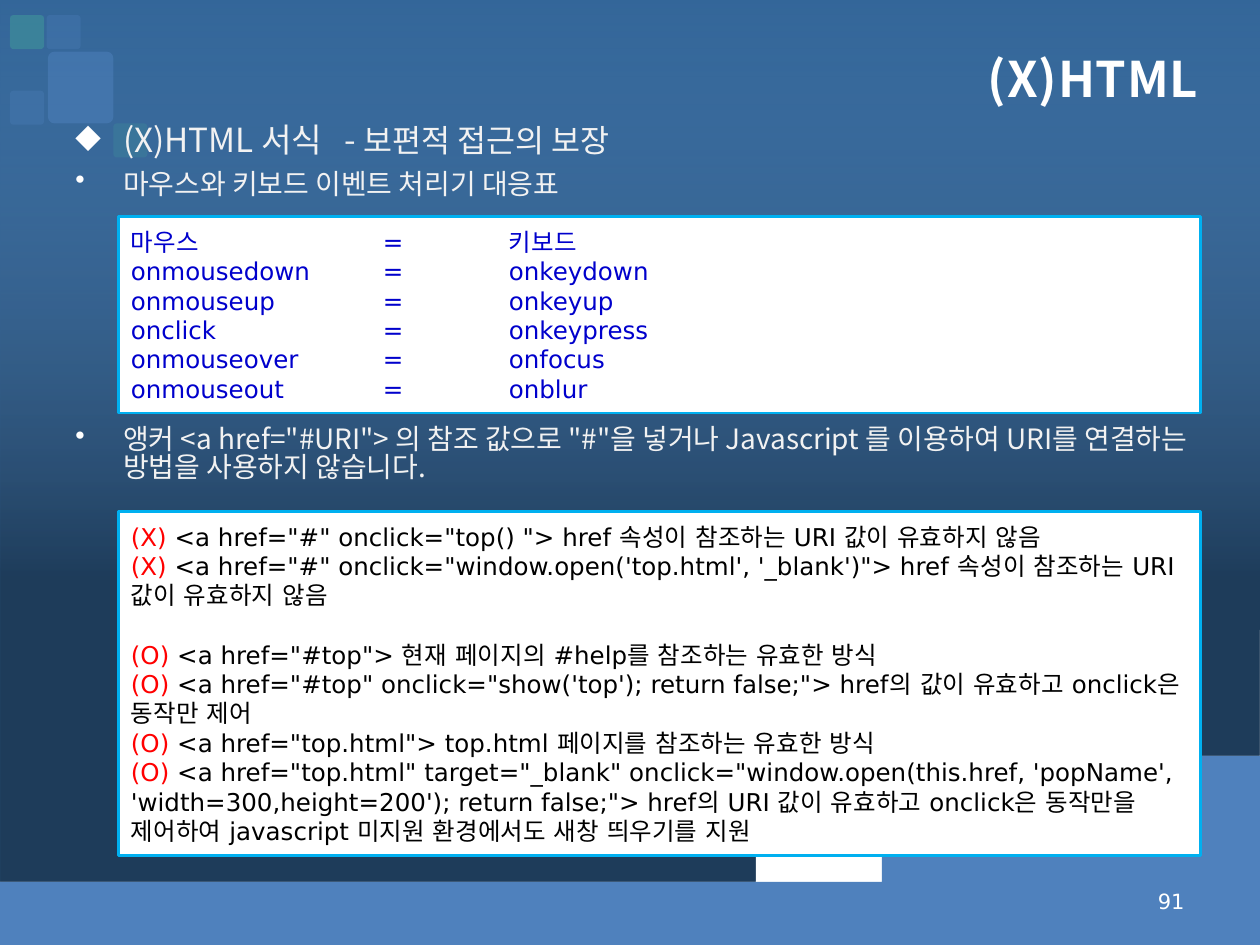
from lxml import etree
from pptx import Presentation
from pptx import util as u
from pptx.dml.color import RGBColor
from pptx.enum import shapes, text
from pptx.oxml import ns

W, H = 10, 7.5
SANS, KOR = "DejaVu Sans", "Noto Sans CJK KR"
MID = text.MSO_ANCHOR.MIDDLE
RIGHT = text.PP_ALIGN.RIGHT
rgb = RGBColor.from_string

prs = Presentation()
prs.slide_width, prs.slide_height = u.Inches(W), u.Inches(H)
slide = prs.slides.add_slide(prs.slide_layouts[6])
slide.background.fill.solid()
slide.background.fill.fore_color.rgb = rgb("336699")
tree = slide.shapes


def paint(shape, color, alpha=None):
    """Fill a shape flat, without line or shadow; alpha is a percentage."""
    shape.shadow.inherit = False
    shape.line.fill.background()
    shape.fill.solid()
    shape.fill.fore_color.rgb = rgb(color)
    if alpha:
        clr = shape.fill._xPr.find(".//" + ns.qn("a:srgbClr"))
        etree.SubElement(clr, ns.qn("a:alpha"), val=str(alpha * 1000))


def write(shape, paras, size, font, look=None, **frame):
    """Write paragraphs, each a list of (text, format values) runs."""
    box = shape.text_frame
    for key, val in dict(word_wrap=True, **frame).items():
        setattr(box, key, val)
    for i, runs in enumerate(paras):
        para = box.paragraphs[0] if i == 0 else box.add_paragraph()
        para.alignment = text.PP_ALIGN.LEFT
        for key, val in (look or {}).items():
            setattr(para, key, val)
        for words, form in runs:
            run = para.add_run()
            run.text = words
            form = dict(size=u.Pt(size), name=font) | form
            run.font.color.rgb = rgb(form.pop("color"))
            for key, val in form.items():
                setattr(run.font, key, val)
            etree.SubElement(run.font._element, ns.qn("a:ea"), typeface=font)
    return box.paragraphs


# Shade that darkens the lower part of the background
shade = tree.add_shape(shapes.MSO_SHAPE.RECTANGLE, 0, 0, u.Inches(W), u.Inches(H))
paint(shade, "000000")
shade.fill.gradient()
shade.fill.gradient_angle = 270
stops = zip(shade.fill.gradient_stops, [(0, "8DB3E2", 0), (0.61, "000000", 40)])
for stop, (pos, color, alpha) in stops:
    stop.position = pos
    stop.color.rgb = rgb(color)
    clr = stop._gs.find(ns.qn("a:srgbClr"))
    etree.SubElement(clr, ns.qn("a:alpha"), val=str(alpha * 1000))

# Waves: start point, then Bezier pieces of two controls and an end
waves = [
    ("FFFFFF", (0, 6.78), [((1.61, 6.85), (2.93, 6.82), (5.21, 6.59)),
                           ((7.49, 6.36), (9.48, 5.59), (10, 5.4))]),
    ("4F81BD", (0, 6.91), [((2.46, 6.99), (4.45, 6.86), (6.15, 6.68)),
                           ((7.84, 6.49), (9.59, 5.99), (10, 5.87))]),
]
STEPS = 24
for color, start, curves in waves:
    pen = tree.build_freeform(*start, scale=u.Inches(1))
    a = start
    for b, c, d in curves:
        dots = []
        for k in range(1, STEPS + 1):
            t = k / STEPS
            s = 1 - t
            dots.append([s**3 * p + 3 * s * s * t * q + 3 * s * t * t * r + t**3 * e
                         for p, q, r, e in zip(a, b, c, d)])
        pen.add_line_segments(dots, close=False)
        a = d
    pen.add_line_segments([(W, H), (0, H)], close=True)
    paint(pen.convert_to_shape(), color)

# Corner tiles: left, top, width, height, colour, opacity
tiles = [
    (0.37, 0.12, 0.27, 0.27, "4F81BD", 30),
    (0.08, 0.72, 0.27, 0.27, "4F81BD", 30),
    (0.08, 0.12, 0.27, 0.27, "3F949A", 60),
    (0.9, 0.98, 0.27, 0.27, "3F949A", 30),
    (0.38, 0.41, 0.52, 0.57, "4F81BD", 50),
]
for *place, color, alpha in tiles:
    tile = tree.add_shape(shapes.MSO_SHAPE.ROUNDED_RECTANGLE, *map(u.Inches, place))
    tile.adjustments[0] = 0.1
    paint(tile, color, alpha)

# Title and page number
title = tree.add_textbox(*map(u.Inches, (0.5, 0.3, 9.11, 0.64)))
head = write(title, [[("(X)HTML", dict(color="FFFFFF", bold=True))]], 28, KOR,
             dict(alignment=RIGHT), vertical_anchor=MID)
head[0].runs[0].font._element.set("spc", "50")
page = tree.add_textbox(*map(u.Inches, (7.17, 6.95, 2.33, 0.4)))
write(page, [[("91", dict(color="FFFFFF"))]], 12, SANS,
      dict(alignment=RIGHT), vertical_anchor=MID)

# Bulleted lines: top, height, line spacing, bullet, runs of text and size
points = [
    (0.9, 0.48, 1, "◆", [("(X)HTML 서식   - ", 19), ("보편적 접근의 보장", 18)]),
    (1.27, 0.42, 1, "•", [("마우스와 키보드 이벤트 처리기 대응표", 16)]),
    (3.34, 0.65, 0.84, "•", [('앵커 <a href="#URI"> 의 참조 값으로 "#"을 넣거나 Javascript 를 '
                              "이용하여 URI를 연결하는 방법을 사용하지 않습니다.", 16)]),
]
for top, high, gap, mark, parts in points:
    box = tree.add_textbox(*map(u.Inches, (0.5, top, 9.11, high)))
    runs = [(words, dict(color="F2F2F2", size=u.Pt(size))) for words, size in parts]
    para = write(box, [runs], 16, KOR, dict(line_spacing=gap))[0]
    props = para._p.get_or_add_pPr()
    props.set("marL", str(u.Inches(0.38)))
    props.set("indent", str(-u.Inches(0.38)))
    tint = etree.SubElement(props, ns.qn("a:buClr"))
    etree.SubElement(tint, ns.qn("a:srgbClr"), val="FFFFFF")
    etree.SubElement(props, ns.qn("a:buChar"), char=mark)

# White panels: event pairs, then anchor examples
pairs = [
    ("마우스", "키보드"), ("onmousedown", "onkeydown"), ("onmouseup", "onkeyup"),
    ("onclick", "onkeypress"), ("onmouseover", "onfocus"), ("onmouseout", "onblur"),
]
cases = [
    ("X", '<a href="#" onclick="top() "> href 속성이 참조하는 URI 값이 유효하지 않음'),
    ("X", '<a href="#" onclick="window.open(\'top.html\', \'_blank\')"> href 속성이 '
          "참조하는 URI 값이 유효하지 않음"),
    ("O", '<a href="#top"> 현재 페이지의 #help를 참조하는 유효한 방식'),
    ("O", '<a href="#top" onclick="show(\'top\'); return false;"> href의 값이 유효하고 '
          "onclick은 동작만 제어"),
    ("O", '<a href="top.html"> top.html 페이지를 참조하는 유효한 방식'),
    ("O", '<a href="top.html" target="_blank" onclick="window.open(this.href, \'popName\', '
          "'width=300,height=200'); return false;\"> href의 URI 값이 유효하고 onclick은 "
          "동작만을 제어하여 javascript 미지원 환경에서도 새창 띄우기를 지원"),
]
panels = [
    (1.72, 1.56, [[(f"{mouse}\t=\t{key}", dict(color="0000CC"))] for mouse, key in pairs]),
    (4.06, 2.73, [[(f"({sign}) ", dict(color="FF0000")), (code, dict(color="000000"))]
                  for sign, code in cases]),
]
texts = []
for top, high, paras in panels:
    panel = tree.add_shape(shapes.MSO_SHAPE.RECTANGLE,
                           *map(u.Inches, (0.94, top, 8.59, high)))
    paint(panel, "FFFFFF")
    panel.line.color.rgb = rgb("00B0F0")
    panel.line.width = u.Pt(1.5)
    texts.append(write(panel, paras, 14, SANS, vertical_anchor=MID))
for para in texts[0]:
    tabs = etree.SubElement(para._p.get_or_add_pPr(), ns.qn("a:tabLst"))
    for col in (2, 3):
        etree.SubElement(tabs, ns.qn("a:tab"), pos=str(u.Inches(col)), algn="l")
texts[1][2].space_before = u.Pt(17)

prs.save("out.pptx")
